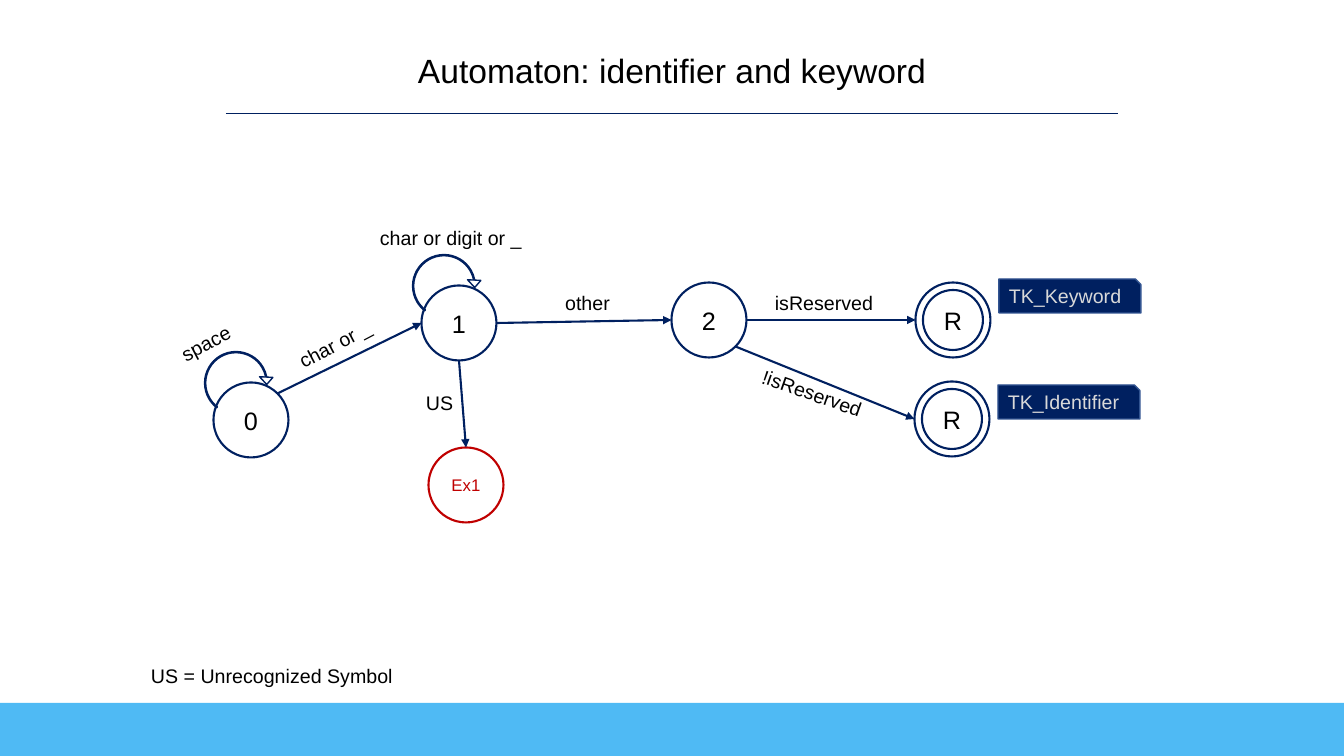
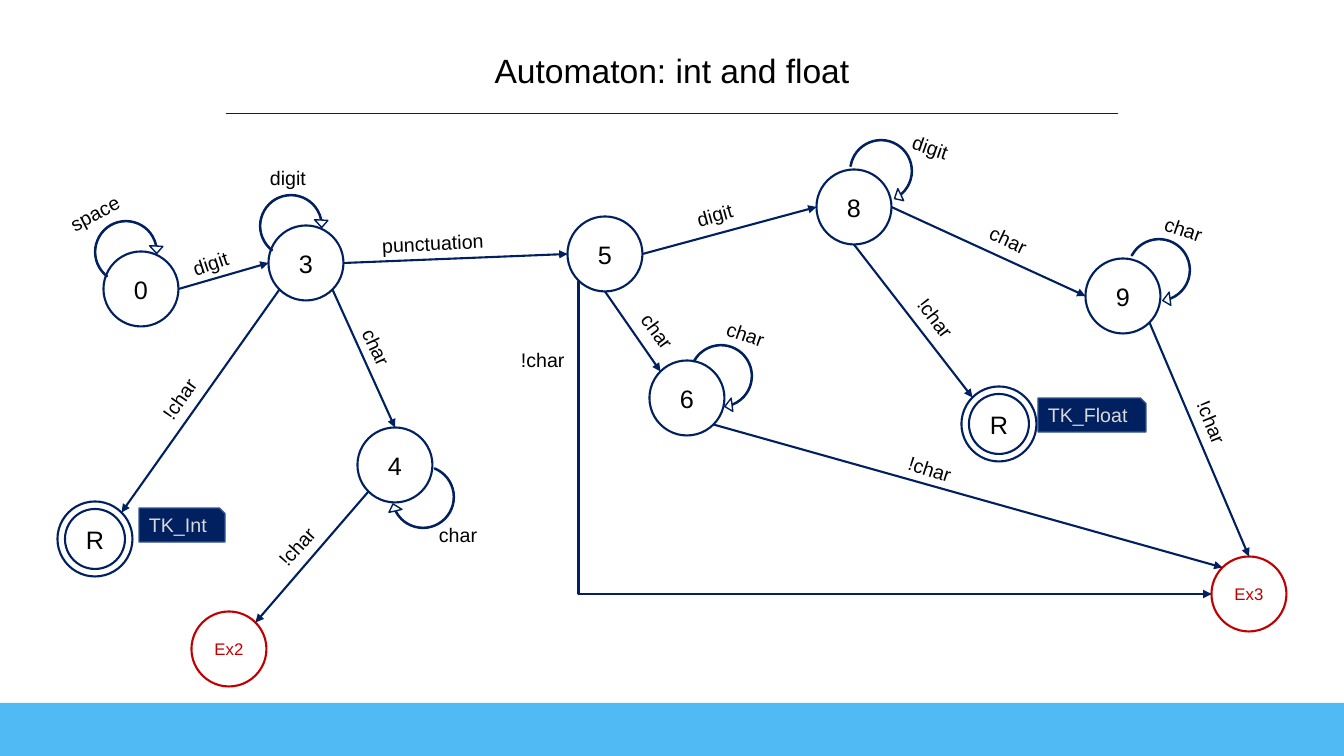
"""Build two slides that draw the automata of a lexical analyser."""
import math

import lxml.etree
import pptx
import pptx.dml.color
import pptx.enum.shapes
import pptx.enum.text
import pptx.oxml.ns
import pptx.util

RGB = pptx.dml.color.RGBColor
SHAPE = pptx.enum.shapes.MSO_SHAPE
STRAIGHT = pptx.enum.shapes.MSO_CONNECTOR.STRAIGHT
ALIGN = pptx.enum.text.PP_ALIGN
ANCHOR = pptx.enum.text.MSO_ANCHOR
FIT = pptx.enum.text.MSO_AUTO_SIZE.SHAPE_TO_FIT_TEXT
qn = pptx.oxml.ns.qn

NAVY = RGB(0x00, 0x20, 0x60)
TAG_EDGE = RGB(0x32, 0x54, 0x91)
SKY = RGB(0x4F, 0xBA, 0xF4)
RED = RGB(0xC0, 0x00, 0x00)
BLACK = RGB(0x00, 0x00, 0x00)
PALE = RGB(0xD9, 0xD9, 0xD9)

FONT = "Arial"
WIDTH, HEIGHT = 1344, 756
STATE = 75
LINE_HEIGHT = 34
LOOP_ARROW = (0.015, 8.281, 209.416, 76.681, 0.089)
COMPASS = {"e": 0, "se": 45, "s": 90, "sw": 135, "w": 180, "nw": 225, "n": 270, "ne": 315}


def px(length):
    return pptx.util.Emu(round(length * 914400 / 100.8))


def write(shape, text, size=14, color=BLACK, align=ALIGN.LEFT, anchor=ANCHOR.TOP, wrap=True):
    frame = shape.text_frame
    frame.word_wrap = wrap
    frame.vertical_anchor = anchor
    paragraph = frame.paragraphs[0]
    paragraph.alignment = align
    run = paragraph.add_run()
    run.text = text
    run.font.name = FONT
    run.font.size = pptx.util.Pt(size)
    run.font.color.rgb = color


def rim(center, side):
    angle = math.radians(COMPASS[side])
    return [c + STATE / 2 * f(angle) for c, f in zip(center, (math.cos, math.sin))]


class Automaton:
    """Holds the shared style and the slide being drawn."""

    def __init__(self):
        self.deck = pptx.Presentation()
        self.deck.slide_width, self.deck.slide_height = px(WIDTH), px(HEIGHT)

    def start(self, title, title_width):
        self.slide = self.deck.slides.add_slide(self.deck.slide_layouts[6])
        self.shape(SHAPE.RECTANGLE, 0, 703, WIDTH, 53, fill=SKY)
        self.line((226, 113), (1118, 113), weight=0.5)
        self.label(title, (WIDTH - title_width) / 2, 45, title_width, height=50,
                   size=24, align=ALIGN.CENTER, wrap=False)

    def shape(self, kind, left, top, width, height, fill=None, edge=None, weight=1):
        shape = self.slide.shapes.add_shape(kind, px(left), px(top), px(width), px(height))
        shape.shadow.inherit = False
        if fill is None:
            shape.fill.background()
        else:
            shape.fill.solid()
            shape.fill.fore_color.rgb = fill
        if edge is None:
            shape.line.fill.background()
        else:
            shape.line.color.rgb = edge
            shape.line.width = pptx.util.Pt(weight)
        return shape

    def label(self, text, left, top, width, turn=0, height=LINE_HEIGHT, **style):
        box = self.slide.shapes.add_textbox(px(left), px(top), px(width), px(height))
        box.rotation = turn
        write(box, text, **style)
        box.text_frame.auto_size = FIT

    def state(self, name, x, y, kind=SHAPE.FLOWCHART_CONNECTOR, color=NAVY, ink=BLACK, size=18):
        circle = self.shape(kind, x - STATE / 2, y - STATE / 2, STATE, STATE,
                            edge=color, weight=1.5)
        write(circle, name, size, ink, ALIGN.CENTER, ANCHOR.MIDDLE)
        if kind == SHAPE.DONUT:
            circle.adjustments[0] = 0.1
        return x, y

    def error(self, name, x, y):
        return self.state(name, x, y, color=RED, ink=RED, size=12)

    def accept(self, x, y):
        return self.state("R", x, y, kind=SHAPE.DONUT)

    def token(self, name, left, top, width):
        tag = self.shape(SHAPE.SNIP_1_RECTANGLE, left, top, width, LINE_HEIGHT, NAVY, TAG_EDGE)
        tag.text_frame.margin_top = px(2)
        tag.text_frame.margin_bottom = 0
        write(tag, name, color=PALE)

    def loop(self, center, dx=-15, dy=-37, turn=0):
        arrow = self.shape(SHAPE.CIRCULAR_ARROW, center[0] + dx - STATE / 2,
                           center[1] + dy - STATE / 2, STATE, STATE, edge=NAVY)
        for index, value in enumerate(LOOP_ARROW):
            arrow.adjustments[index] = value
        arrow.rotation = turn

    def line(self, begin, end, weight=1.5, arrow=False):
        line = self.slide.shapes.add_connector(STRAIGHT, *map(px, (*begin, *end)))
        line.line.color.rgb = NAVY
        line.line.width = pptx.util.Pt(weight)
        properties = line.element.spPr
        if arrow:
            lxml.etree.SubElement(properties.find(qn("a:ln")), qn("a:tailEnd"), type="triangle")
        lxml.etree.SubElement(properties, qn("a:effectLst"))
        return properties

    def move(self, source, leaving, target, entering):
        self.line(rim(source, leaving), rim(target, entering), arrow=True)

    def move_down_then_right(self, source, leaving, target, entering):
        (x1, y1), (x2, y2) = rim(source, leaving), rim(target, entering)
        x, y = (x1 + x2) / 2, (y1 + y2) / 2
        across, down = (x2 - x1) / 2, (y2 - y1) / 2
        properties = self.line((x + down, y - across), (x - down, y + across), arrow=True)
        properties.find(qn("a:prstGeom")).set("prst", "bentConnector2")
        properties.find(qn("a:xfrm")).set("rot", str(270 * 60000))


def draw_identifier(page):
    page.start("Automaton: identifier and keyword", 622)
    page.token("TK_Identifier", 998, 385, 142)
    page.token("TK_Keyword", 999, 279, 142)
    start = page.state("0", 251, 420)
    word = page.state("1", 459, 323)
    check = page.state("2", 709, 320)
    unknown = page.error("Ex1", 466, 485)
    keyword = page.accept(953, 320)
    identifier = page.accept(952, 419)
    for looping in (start, word):
        page.loop(looping)
    for move in (
        (start, "ne", word, "w"),
        (word, "s", unknown, "n"),
        (word, "e", check, "w"),
        (check, "e", keyword, "w"),
        (check, "se", identifier, "w"),
    ):
        page.move(*move)
    for label in (
        ("space", 169, 324, 82, -27.7),
        ("char or _", 285, 323, 115, -27.7),
        ("char or digit or _", 370, 221, 194),
        ("US", 416, 386, 50),
        ("isReserved", 765, 286, 135),
        ("!isReserved", 750, 378, 135, 19.3),
        ("US = Unrecognized Symbol", 141, 659, 386),
    ):
        page.label(*label)
    page.label("other", 503, 286, 169, align=ALIGN.CENTER)


def draw_number(page):
    page.start("Automaton: int and float", 442)
    page.token("TK_Float", 1038, 398, 108)
    page.token("TK_Int", 139, 508, 86)
    start = page.state("0", 141, 289)
    whole = page.state("3", 306, 263)
    bad_whole = page.state("4", 395, 465)
    point = page.state("5", 605, 254)
    bad_point = page.state("6", 687, 398)
    decimals = page.state("8", 854, 207)
    bad_decimals = page.state("9", 1123, 296)
    int_error = page.error("Ex2", 229, 649)
    float_error = page.error("Ex3", 1249, 594)
    int_token = page.accept(95, 539)
    float_token = page.accept(999, 424)
    for loop in (
        (start,),
        (whole,),
        (bad_whole, 28, 32, 164.3),
        (bad_point, 34, -22, 80.1),
        (decimals, 27, -36, 61.2),
        (bad_decimals, 36, -26, 80.1),
    ):
        page.loop(*loop)
    for move in (
        (start, "e", whole, "w"),
        (whole, "e", point, "w"),
        (whole, "sw", int_token, "ne"),
        (whole, "se", bad_whole, "n"),
        (bad_whole, "sw", int_error, "ne"),
        (point, "e", decimals, "w"),
        (point, "s", bad_point, "nw"),
        (bad_point, "se", float_error, "nw"),
        (decimals, "s", float_token, "nw"),
        (decimals, "e", bad_decimals, "w"),
        (bad_decimals, "se", float_error, "n"),
    ):
        page.move(*move)
    page.move_down_then_right(point, "sw", float_error, "w")
    for label in (
        ("space", 58, 194, 82, -27.7),
        ("digit", 181, 237, 115, -18.6),
        ("digit", 260, 161, 75),
        ("punctuation", 372, 225, 169, -2.7),
        ("!char", 145, 377, 76, -55.1),
        ("char", 331, 356, 115, 64.9),
        ("char", 429, 518, 75),
        ("!char", 264, 527, 70, -48.2),
        ("digit", 686, 193, 93, -15.6),
        ("char", 626, 319, 70, 53.4),
        ("!char", 511, 343, 76),
        ("char", 716, 321, 81, 19.1),
        ("!char", 898, 454, 76, 18.2),
        ("digit", 902, 133, 71, 19.1),
        ("!char", 902, 305, 73, 52.7),
        ("char", 979, 225, 68, 25),
        ("char", 1154, 216, 81, 19.1),
        ("!char", 1176, 411, 76, 67.6),
    ):
        page.label(*label)


automaton = Automaton()
draw_identifier(automaton)
draw_number(automaton)
automaton.deck.save("out.pptx")
